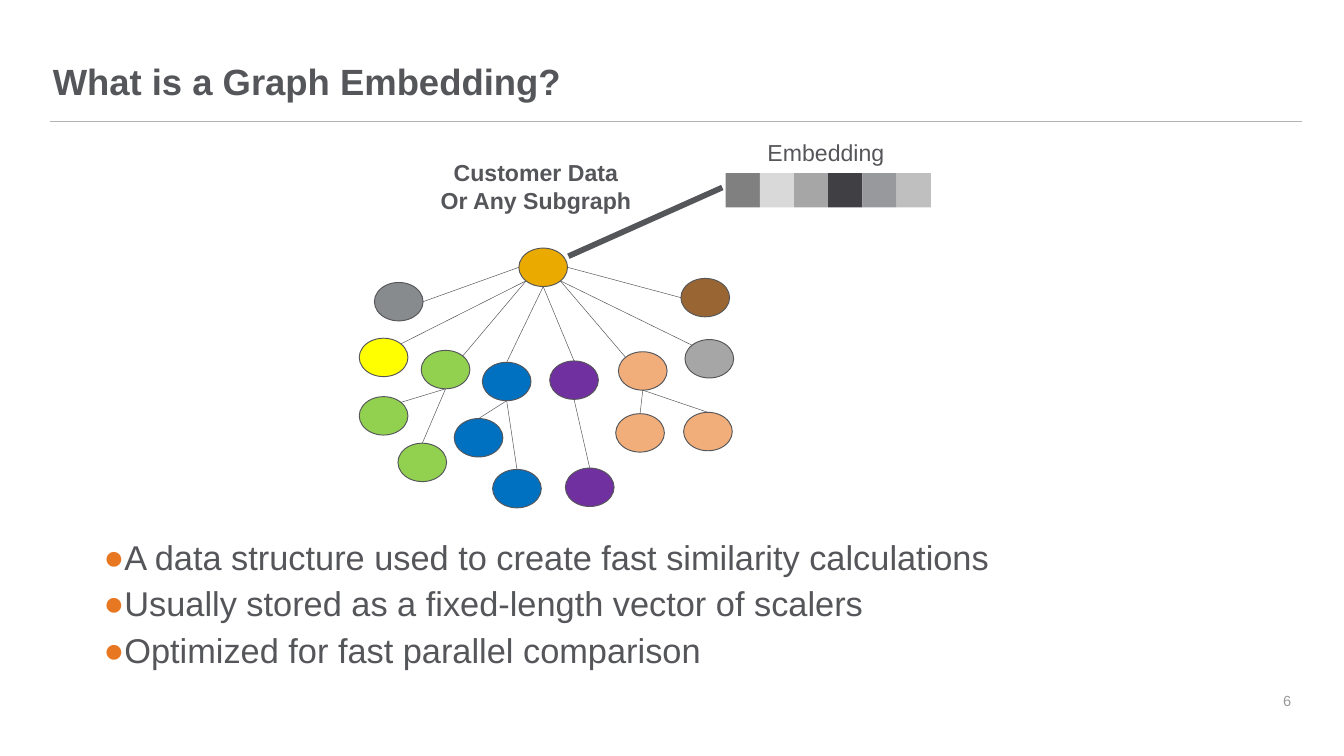
"""Build a slide that explains graph embeddings with a customer graph and a vector."""
from lxml import etree
from pptx import Presentation
from pptx import util as u
from pptx.dml.color import RGBColor
from pptx.enum import shapes, text
from pptx.oxml import ns

INK = RGBColor(0x55, 0x56, 0x5A)
RULE = RGBColor(0xB1, 0xB3, 0xB3)
NUMBER = RGBColor(0x99, 0x9A, 0x9B)
ORANGE = RGBColor(0xE8, 0x77, 0x22)
GOLD = RGBColor(0xEA, 0xAA, 0x00)
GREEN = RGBColor(0x92, 0xD0, 0x50)
PURPLE = RGBColor(0x70, 0x30, 0xA0)
BROWN = RGBColor(0x99, 0x66, 0x33)
YELLOW = RGBColor(0xFF, 0xFF, 0x00)
BLUE = RGBColor(0x00, 0x70, 0xC0)
SLATE = RGBColor(0x88, 0x8B, 0x8D)
PEACH = RGBColor(0xF1, 0xAD, 0x7A)
SILVER = RGBColor(0xA6, 0xA6, 0xA6)
VECTOR = [RGBColor(0x80, 0x80, 0x80), RGBColor(0xD9, 0xD9, 0xD9), SILVER,
          RGBColor(0x40, 0x40, 0x44), RGBColor(0x98, 0x99, 0x9D), RGBColor(0xBF, 0xBF, 0xBF)]

TITLE = "What is a Graph Embedding?"
BULLETS = [
    "A data structure used to create fast similarity calculations",
    "Usually stored as a fixed-length vector of scalers",
    "Optimized for fast parallel comparison",
]
GRAPH_LABEL = ["Customer Data", "Or Any Subgraph"]

NODE_WIDTH, NODE_HEIGHT = 1.8, 1.42
NODES = {
    "customer": (19.18, 9.17, GOLD),
    "slate": (13.84, 10.44, SLATE),
    "yellow": (13.28, 12.5, YELLOW),
    "green": (15.57, 12.95, GREEN),
    "green left": (13.28, 14.66, GREEN),
    "green low": (14.71, 16.38, GREEN),
    "blue": (17.83, 13.39, BLUE),
    "blue left": (16.79, 15.47, BLUE),
    "blue low": (18.21, 17.35, BLUE),
    "purple": (20.32, 13.34, PURPLE),
    "purple low": (20.9, 17.3, PURPLE),
    "peach": (22.86, 13, PEACH),
    "peach left": (22.76, 15.29, PEACH),
    "peach right": (25.27, 15.24, PEACH),
    "silver": (25.32, 12.55, SILVER),
    "brown": (25.17, 10.29, BROWN),
}
SITES = {
    "top": (0.5, 0), "bottom": (0.5, 1), "left": (0, 0.5), "right": (1, 0.5),
    "top left": (0.15, 0.15), "top right": (0.85, 0.15),
    "bottom left": (0.15, 0.85), "bottom right": (0.85, 0.85),
}
EDGES = [
    ("customer", "left", "slate", "right"),
    ("customer", "right", "brown", "left"),
    ("customer", "bottom left", "yellow", "top right"),
    ("customer", "bottom left", "green", "top right"),
    ("customer", "bottom", "blue", "top"),
    ("customer", "bottom", "purple", "top"),
    ("customer", "bottom right", "peach", "top left"),
    ("customer", "bottom right", "silver", "top left"),
    ("green", "bottom", "green left", "top right"),
    ("green", "bottom", "green low", "top"),
    ("blue", "bottom", "blue left", "top"),
    ("blue", "bottom", "blue low", "top"),
    ("purple", "bottom", "purple low", "top"),
    ("peach", "bottom", "peach left", "top"),
    ("peach", "bottom", "peach right", "top"),
]
CELL, VECTOR_LEFT, VECTOR_TOP = 1.265, 26.82, 6.4


def add_bullet(paragraph):
    properties = paragraph._p.get_or_add_pPr()
    properties.set("marL", str(u.Cm(0.66)))
    properties.set("indent", str(u.Cm(-0.66)))
    color = etree.SubElement(properties, ns.qn("a:buClr"))
    etree.SubElement(color, ns.qn("a:srgbClr"), val=str(ORANGE))
    etree.SubElement(properties, ns.qn("a:buFont"), typeface="Arial")
    etree.SubElement(properties, ns.qn("a:buChar"), char="●")


def write(shape, lines, box, size, color=INK, bold=False, align=text.PP_ALIGN.LEFT,
          anchor=text.MSO_ANCHOR.TOP, wrap=True, spacing=1.0, after=0, bullets=False):
    shape.left, shape.top, shape.width, shape.height = map(u.Cm, box)
    frame = shape.text_frame
    frame.auto_size = text.MSO_AUTO_SIZE.NONE
    frame.word_wrap, frame.vertical_anchor = wrap, anchor
    frame.margin_left = frame.margin_right = u.Cm(0.25)
    frame.margin_top = frame.margin_bottom = u.Cm(0.25 if wrap else 0.13)
    for index, line in enumerate(lines):
        paragraph = frame.add_paragraph() if index else frame.paragraphs[0]
        if bullets:
            add_bullet(paragraph)
        paragraph.alignment, paragraph.line_spacing = align, spacing
        paragraph.space_before, paragraph.space_after = u.Pt(0), u.Pt(after)
        run = paragraph.add_run()
        run.text = line
        run.font.name, run.font.size, run.font.bold = "Arial", u.Pt(size), bold
        run.font.color.rgb = color


def add_line(parent, start, end, color=INK, weight=0.5):
    line = parent.add_connector(shapes.MSO_CONNECTOR.STRAIGHT, *map(u.Cm, (*start, *end)))
    line.line.color.rgb, line.line.width = color, u.Pt(weight)
    etree.SubElement(line._element.spPr, ns.qn("a:effectLst"))


def add_filled(parent, kind, box, fill, outline=None):
    shape = parent.add_shape(kind, *map(u.Cm, box))
    shape.shadow.inherit = False
    shape.fill.solid()
    shape.fill.fore_color.rgb = fill
    if outline is None:
        shape.line.fill.background()
    else:
        shape.line.color.rgb, shape.line.width = outline, u.Pt(1)


def site_point(node, site):
    left, top, _ = NODES[node]
    across, down = SITES[site]
    return left + across * NODE_WIDTH, top + down * NODE_HEIGHT


def add_graph(slide):
    graph = slide.shapes.add_group_shape().shapes
    for left, top, color in NODES.values():
        add_filled(graph, shapes.MSO_SHAPE.OVAL, (left, top, NODE_WIDTH, NODE_HEIGHT), color, INK)
    for parent, exit_site, child, entry_site in EDGES:
        add_line(graph, site_point(parent, exit_site), site_point(child, entry_site))


def add_vector(slide):
    for index, color in enumerate(VECTOR):
        box = (VECTOR_LEFT + index * CELL, VECTOR_TOP, CELL, CELL)
        add_filled(slide.shapes, shapes.MSO_SHAPE.RECTANGLE, box, color)


def add_label(slide, lines, box, size, **style):
    write(slide.shapes.add_textbox(0, 0, 0, 0), lines, box, size, **style)


def main():
    presentation = Presentation()
    presentation.slide_width, presentation.slide_height = u.Cm(49.68), u.Cm(27.94)
    slide = presentation.slides.add_slide(presentation.slide_layouts[1])
    center = text.PP_ALIGN.CENTER
    add_line(slide.shapes, (1.85, 4.5), (48.11, 4.5), color=RULE, weight=1)
    write(slide.shapes.title, [TITLE], (1.7, 2.13, 46.28, 2.26), 38.2, bold=True, spacing=0.9)
    write(slide.placeholders[1], BULLETS, (3.58, 19.66, 35.86, 5.16), 36,
          spacing=0.95, after=7.7, bullets=True)
    add_label(slide, ["6"], (45.01, 24.82, 2.97, 2.13), 15.3, color=NUMBER,
              align=text.PP_ALIGN.RIGHT, anchor=text.MSO_ANCHOR.MIDDLE)
    add_graph(slide)
    add_label(slide, GRAPH_LABEL, (16, 5.74, 7.62, 2.34), 24.2, bold=True, align=center, wrap=False)
    add_line(slide.shapes, (26.7, 6.93), (21.01, 9.47), weight=6)
    add_vector(slide)
    add_label(slide, ["Embedding"], (28.09, 5, 4.88, 1.3), 24.2, align=center, wrap=False)
    presentation.save("out.pptx")


if __name__ == "__main__":
    main()
